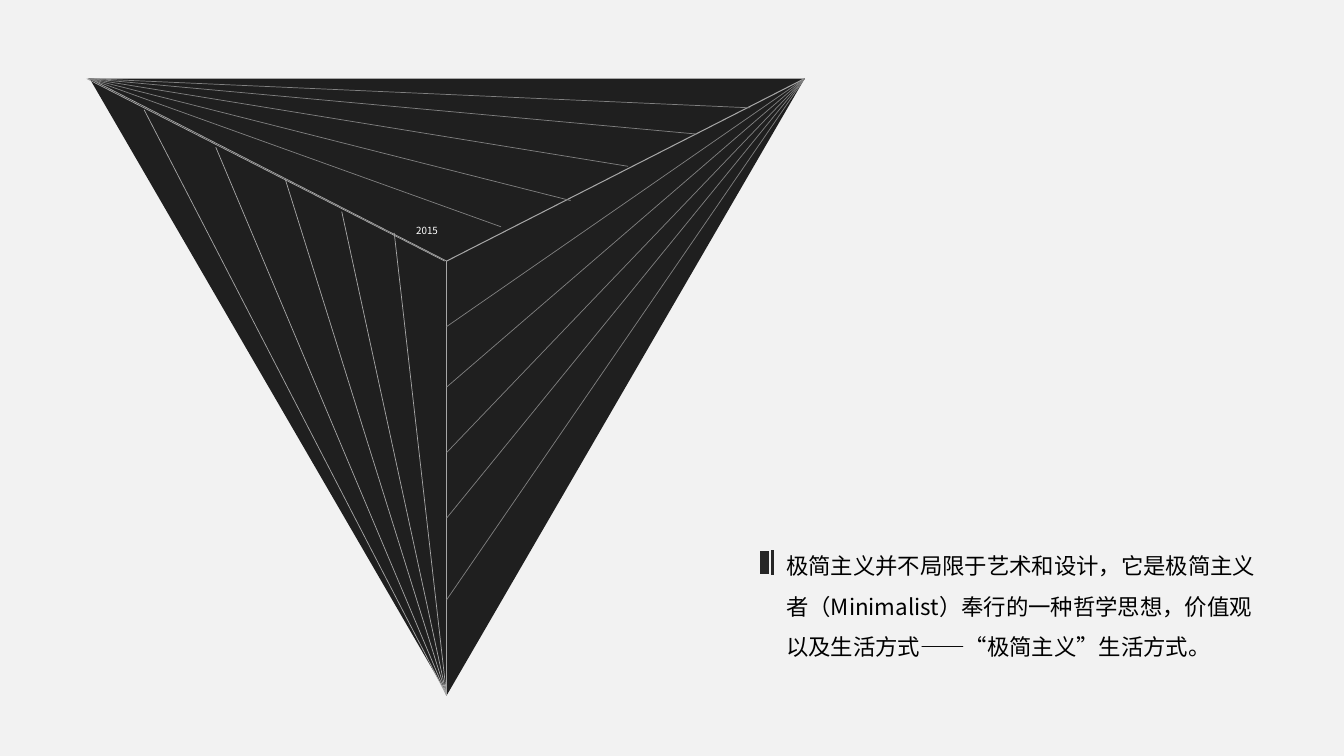
"""Build a slide with a ruled inverted triangle and a note on minimalism."""
import dataclasses
import typing

import lxml.etree
import pptx
import pptx.dml.color
import pptx.enum.shapes
import pptx.enum.text
import pptx.oxml.ns
import pptx.util

Inches = pptx.util.Inches
Point = typing.Tuple[float, float]

FONT = "Noto Sans CJK SC"
COLORS = {
    "background": "F2F2F2",
    "triangle": "000000",
    "edge": "A6A6A6",
    "ray": "808080",
    "marker": "262626",
    "year": "FFFFFF",
    "note": "000000",
}


@dataclasses.dataclass(frozen=True)
class Line:
    start: Point
    end: Point
    color: str
    width: float = 0.5


@dataclasses.dataclass(frozen=True)
class Fan:
    apex: Point
    ends: typing.Tuple[Point, ...]
    color: str


@dataclasses.dataclass(frozen=True)
class Label:
    text: str
    box: typing.Tuple[float, float, float, float]
    size: float
    color: str
    spacing: float = 1.0


def rgb(name: str) -> pptx.dml.color.RGBColor:
    return pptx.dml.color.RGBColor.from_string(COLORS[name])


def add_child(parent: typing.Any, tag: str, **attributes: str) -> None:
    lxml.etree.SubElement(parent, pptx.oxml.ns.qn(tag), **attributes)


def draw_triangle(shapes: typing.Any, left: float, top: float, width: float, height: float) -> None:
    triangle = shapes.add_shape(
        pptx.enum.shapes.MSO_SHAPE.ISOSCELES_TRIANGLE,
        Inches(left), Inches(top), Inches(width), Inches(height),
    )
    triangle.rotation = 180
    triangle.shadow.inherit = False
    triangle.fill.solid()
    triangle.fill.fore_color.rgb = rgb("triangle")
    fill_color = triangle._element.spPr.find(".//" + pptx.oxml.ns.qn("a:srgbClr"))
    add_child(fill_color, "a:alpha", val="87000")
    triangle.line.fill.background()


def draw_line(shapes: typing.Any, line: Line) -> None:
    connector = shapes.add_connector(
        pptx.enum.shapes.MSO_CONNECTOR.STRAIGHT,
        *(Inches(value) for value in line.start + line.end),
    )
    connector.line.color.rgb = rgb(line.color)
    connector.line.width = pptx.util.Pt(line.width)
    add_child(connector._element.spPr, "a:effectLst")


def draw_fan(shapes: typing.Any, fan: Fan) -> None:
    for end in fan.ends:
        draw_line(shapes, Line(fan.apex, end, fan.color))


def draw_label(shapes: typing.Any, label: Label) -> None:
    frame = shapes.add_textbox(*(Inches(value) for value in label.box)).text_frame
    frame.word_wrap = True
    frame.auto_size = pptx.enum.text.MSO_AUTO_SIZE.SHAPE_TO_FIT_TEXT
    paragraph = frame.paragraphs[0]
    paragraph.line_spacing = label.spacing
    run = paragraph.add_run()
    run.text = label.text
    run.font.size = pptx.util.Pt(label.size)
    run.font.name = FONT
    run.font.color.rgb = rgb(label.color)
    properties = run._r.get_or_add_rPr()
    properties.set("lang", "zh-CN")
    add_child(properties, "a:ea", typeface=FONT)


LEFT, RIGHT = (0.89, 0.78), (7.98, 0.78)
CENTER, BOTTOM = (4.43, 2.59), (4.43, 6.9)
EDGES = (
    Line(LEFT, CENTER, "edge"),
    Line(RIGHT, CENTER, "edge", 0.75),
    Line(CENTER, BOTTOM, "edge"),
    Line((4.41, 2.59), (0.86, 0.78), "edge"),
)
FANS = (
    Fan(RIGHT, tuple((CENTER[0], y) for y in (3.24, 3.84, 4.49, 5.14, 5.95)), "ray"),
    Fan((0.88, 0.78), ((4.97, 2.25), (5.66, 1.99), (6.23, 1.65), (6.91, 1.33), (7.44, 1.07)), "ray"),
    Fan(BOTTOM, ((3.91, 2.31), (3.39, 2.1), (2.83, 1.78), (2.14, 1.46), (1.43, 1.09)), "edge"),
)
MARKERS = (
    Line((7.54, 5.58), (7.63, 5.58), "marker", 17),
    Line((7.66, 5.46), (7.66, 5.7), "marker", 2),
)
YEAR = Label("2015", (4.03, 2.18, 0.94, 0.41), 7, "year")
NOTE = Label(
    "极简主义并不局限于艺术和设计，它是极简主义者（Minimalist）奉行的一种哲学思想，"
    "价值观以及生活方式——“极简主义”生活方式。",
    (7.7, 5.3, 4.86, 1.31), 16, "note", 1.5,
)

presentation = pptx.Presentation()
presentation.slide_width = Inches(13.33)
presentation.slide_height = Inches(7.5)
slide = presentation.slides.add_slide(presentation.slide_layouts[6])
slide.background.fill.solid()
slide.background.fill.fore_color.rgb = rgb("background")

emblem = slide.shapes.add_group_shape().shapes
draw_triangle(emblem, 0.89, 0.78, 7.09, 6.11)
for edge in EDGES:
    draw_line(emblem, edge)
for fan in FANS:
    draw_fan(emblem, fan)
draw_label(emblem, YEAR)

caption = slide.shapes.add_group_shape().shapes
draw_label(caption, NOTE)
for marker in MARKERS:
    draw_line(caption, marker)

presentation.save("out.pptx")
